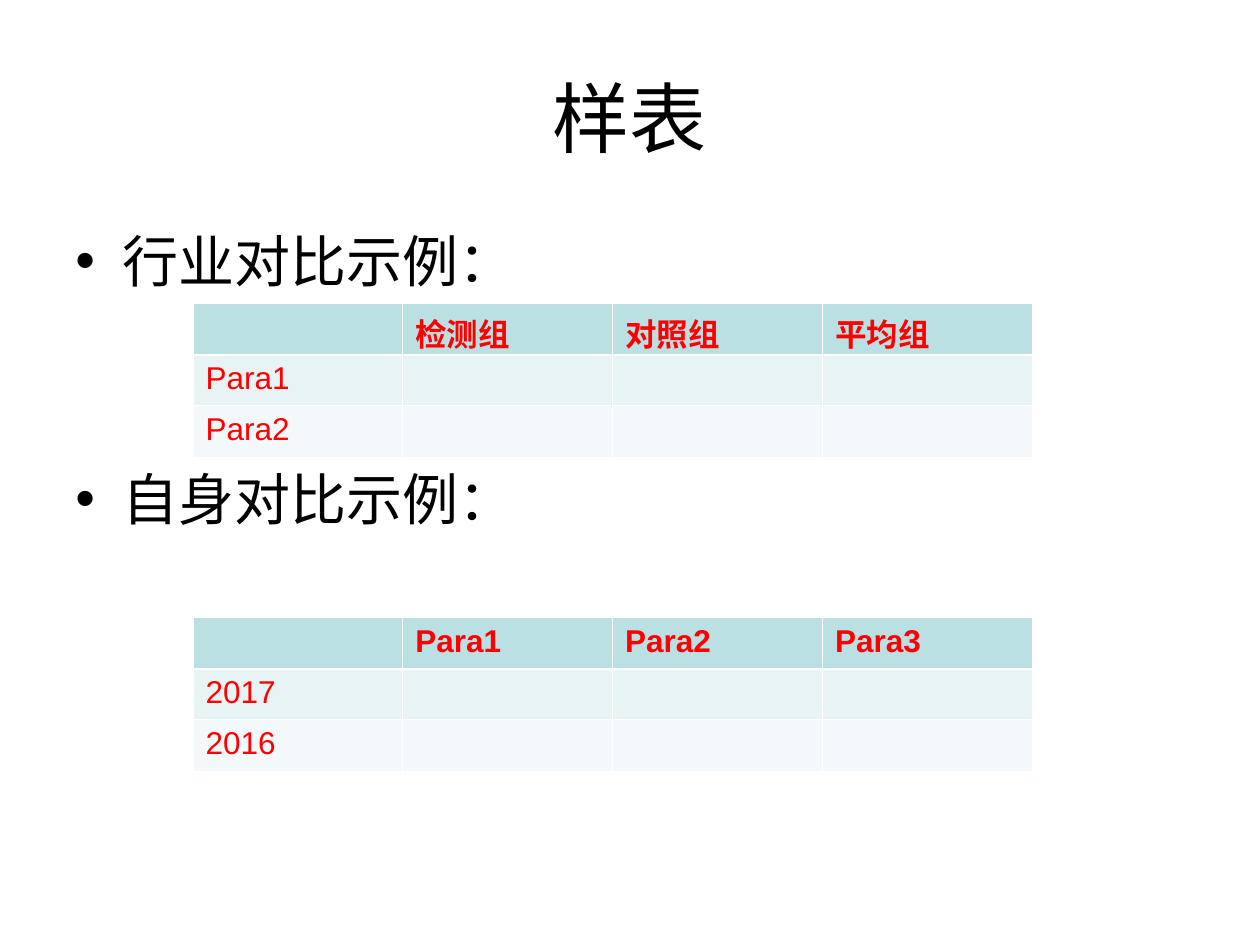
from lxml import etree
from pptx import Presentation
from pptx import util as u
from pptx.dml.color import RGBColor
from pptx.enum import text
from pptx.oxml import ns

BLACK = RGBColor(0x00, 0x00, 0x00)
WHITE = RGBColor(0xFF, 0xFF, 0xFF)
RED = RGBColor(0xFF, 0x00, 0x00)
ROW_FILLS = (
    RGBColor(0xBB, 0xE0, 0xE3),
    RGBColor(0xE7, 0xF3, 0xF4),
    RGBColor(0xF3, 0xF9, 0xFA),
)


class SampleSlide:
    font_name = "Arial"
    left, width = u.Cm(1.27), u.Cm(22.86)
    table_left, column_width, row_height = u.Cm(3.89), u.Cm(4.23), u.Cm(1.03)
    thin, thick = u.Pt(0.45), u.Pt(1.47)
    indent = u.Cm(0.95)

    def __init__(self, deck):
        self.slide = deck.slides.add_slide(deck.slide_layouts[6])

    def apply(self, target, formats):
        for name, value in formats.items():
            setattr(target, name, value)

    def add_words(self, paragraph, words, size, color, bold=False):
        run = paragraph.add_run()
        run.text = words
        self.apply(run.font, {"name": self.font_name, "size": u.Pt(size), "bold": bold})
        run.font.color.rgb = color

    def frame(self, top, height, anchor):
        box = self.slide.shapes.add_textbox(self.left, top, self.width, height)
        self.apply(box.text_frame, {"word_wrap": True, "vertical_anchor": anchor})
        return box.text_frame

    def title(self, words, top, height):
        heading = self.frame(top, height, text.MSO_ANCHOR.MIDDLE).paragraphs[0]
        heading.alignment = text.PP_ALIGN.CENTER
        self.add_words(heading, words, 44, BLACK)

    def bullets(self, items, top, height):
        body = self.frame(top, height, text.MSO_ANCHOR.TOP)
        for index, (words, gap) in enumerate(items):
            item = body.add_paragraph() if index else body.paragraphs[0]
            item.space_before = u.Pt(gap)
            properties = item._p.get_or_add_pPr()
            properties.set("marL", str(int(self.indent)))
            properties.set("indent", str(-int(self.indent)))
            etree.SubElement(properties, ns.qn("a:buFont"), typeface=self.font_name)
            etree.SubElement(properties, ns.qn("a:buChar"), char="•")
            self.add_words(item, words, 32, BLACK)

    def border(self, cell, side, width):
        line = etree.SubElement(cell._tc.get_or_add_tcPr(), ns.qn(f"a:ln{side}"), w=str(int(width)))
        fill = etree.SubElement(line, ns.qn("a:solidFill"))
        etree.SubElement(fill, ns.qn("a:srgbClr"), val=str(WHITE))

    def table(self, headings, labels, top):
        rows, columns = len(labels) + 1, len(headings) + 1
        grid = self.slide.shapes.add_table(
            rows, columns, self.table_left, top,
            self.column_width * columns, self.row_height * rows,
        ).table
        contents = [["", *headings]] + [[label] + [""] * len(headings) for label in labels]
        for row, entries in enumerate(contents):
            heavy_side = {0: "B", 1: "T"}.get(row)
            for column, words in enumerate(entries):
                cell = grid.cell(row, column)
                for side in "LRTB":
                    self.border(cell, side, self.thick if side == heavy_side else self.thin)
                cell.fill.solid()
                cell.fill.fore_color.rgb = ROW_FILLS[row]
                if words:
                    self.add_words(cell.text_frame.paragraphs[0], words, 18, RED, bold=row == 0)


def main():
    deck = Presentation()
    deck.slide_width, deck.slide_height = u.Cm(25.4), u.Cm(19.05)
    sample = SampleSlide(deck)
    sample.title("样表", u.Cm(0.76), u.Cm(3.18))
    sample.bullets([("行业对比示例：", 8), ("自身对比示例：", 97.6)], u.Cm(4.45), u.Cm(12.57))
    sample.table(["检测组", "对照组", "平均组"], ["Para1", "Para2"], u.Cm(6.12))
    sample.table(["Para1", "Para2", "Para3"], ["2017", "2016"], u.Cm(12.45))
    deck.save("out.pptx")


if __name__ == "__main__":
    main()
